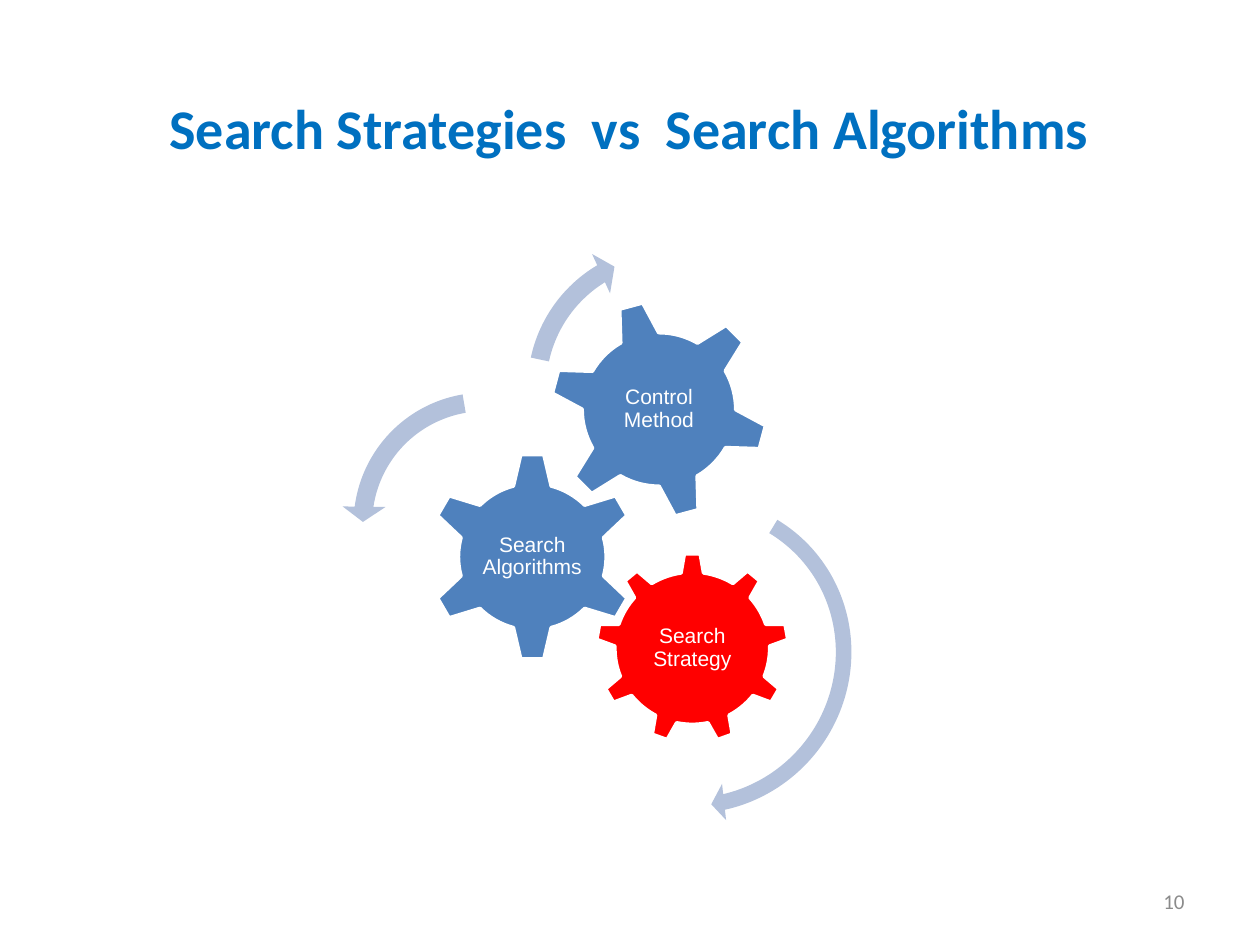
from pptx import Presentation
from pptx.dml.color import RGBColor
from pptx.enum import shapes, text
from pptx.util import Inches, Pt

WIDE, HIGH = Inches(10), Inches(7.5)
KIND = shapes.MSO_SHAPE
ALIGN = text.PP_ALIGN
WHITE, BLUE, RED, PALE = "FFFFFF", "4F81BD", "FF0000", "B3C1DB"

TITLE = ("Search Strategies  vs  Search Algorithms", (49.95, 13.87, 81.5, 18.93))
PAGE = ("10", (83.35, 95.33, 23.3, 5.33))
GEARS = [
    ("Search Strategy", KIND.GEAR_9, RED, 0, (54.95, 68.6), (15.3, 20.13), (9.1, 10.4)),
    ("Search Algorithms", KIND.GEAR_6, BLUE, 0, (42.25, 58.93), (16.7, 22.13), (8.3, 10.93)),
    ("Control Method", KIND.GEAR_6, BLUE, 345, (52.3, 43.33), (17.4, 23.2), (9.8, 13.07)),
]
ARROWS = [
    (KIND.CIRCULAR_ARROW, 36.8, (55.15, 69.4, 26.3, 35.87),
     (0.047, 2.99, 25.131, 158.679, 0.055)),
    (KIND.LEFT_CIRCULAR_ARROW, 13.1, (38.45, 55.4, 22.7, 30.27),
     (0.065, 4.3, 104.891, 148.378, 0.075)),
    (KIND.CIRCULAR_ARROW, 17, (53.15, 41, 24.5, 32.67),
     (0.06, 3.941, 133.138, 105.082, 0.07)),
]


def color(code):
    return RGBColor.from_string(code)


def frame(mid_x, mid_y, wide, high):
    parts = (mid_x - wide / 2, mid_y - high / 2, wide, high)
    return [int(p * side / 100) for p, side in zip(parts, (WIDE, HIGH) * 2)]


def write(box, words, font="Arial", size=12, ink=WHITE, bold=False,
          align=ALIGN.CENTER, space=0.9, pad=(0.02, 0.02)):
    body = box.text_frame
    body.word_wrap = True
    body.auto_size = text.MSO_AUTO_SIZE.NONE
    body.vertical_anchor = text.MSO_ANCHOR.MIDDLE
    body.margin_left = body.margin_right = Inches(pad[0])
    body.margin_top = body.margin_bottom = Inches(pad[1])
    line = body.paragraphs[0]
    line.alignment, line.line_spacing = align, space
    run = line.add_run()
    run.text = words
    run.font.name, run.font.size, run.font.bold = font, Pt(size), bold
    run.font.color.rgb = color(ink)


def draw(slide, kind, area, fill, turn, edge=None):
    shape = slide.shapes.add_shape(kind, *frame(*area))
    shape.shadow.inherit = False
    shape.rotation = turn
    shape.fill.solid()
    shape.fill.fore_color.rgb = color(fill)
    if edge:
        shape.line.color.rgb = color(edge)
        shape.line.width = Pt(2)
    else:
        shape.line.fill.background()
    return shape


def main():
    deck = Presentation()
    deck.slide_width, deck.slide_height = WIDE, HIGH
    slide = deck.slides.add_slide(deck.slide_layouts[5])

    words, area = TITLE
    title = slide.shapes.title
    title.left, title.top, title.width, title.height = frame(*area)
    write(title, words, font="Calibri", size=32, ink="0070C0", bold=True, pad=(0.08, 0.04))

    words, area = PAGE
    page = slide.shapes.add_textbox(*frame(*area))
    write(page, words, font="Calibri", ink="8B8B8B", align=ALIGN.RIGHT, space=1, pad=(0.1, 0.05))

    for words, kind, fill, turn, mid, size, inner in GEARS:
        draw(slide, kind, mid + size, fill, turn, WHITE)
        write(slide.shapes.add_textbox(*frame(*mid, *inner)), words)

    for kind, turn, area, bends in ARROWS:
        arrow = draw(slide, kind, area, PALE, turn)
        for i, bend in enumerate(bends):
            arrow.adjustments[i] = bend

    deck.save("out.pptx")


if __name__ == "__main__":
    main()
